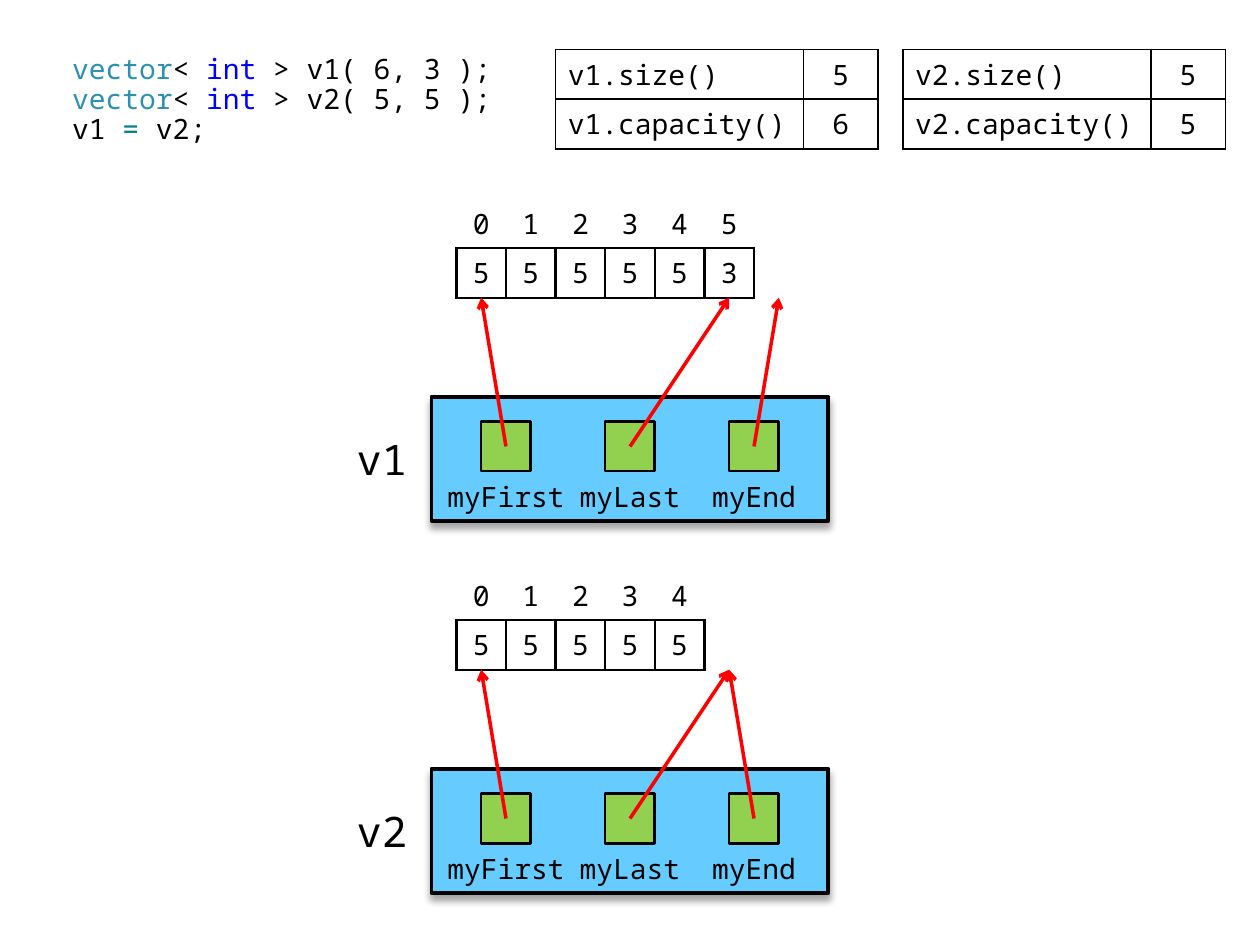
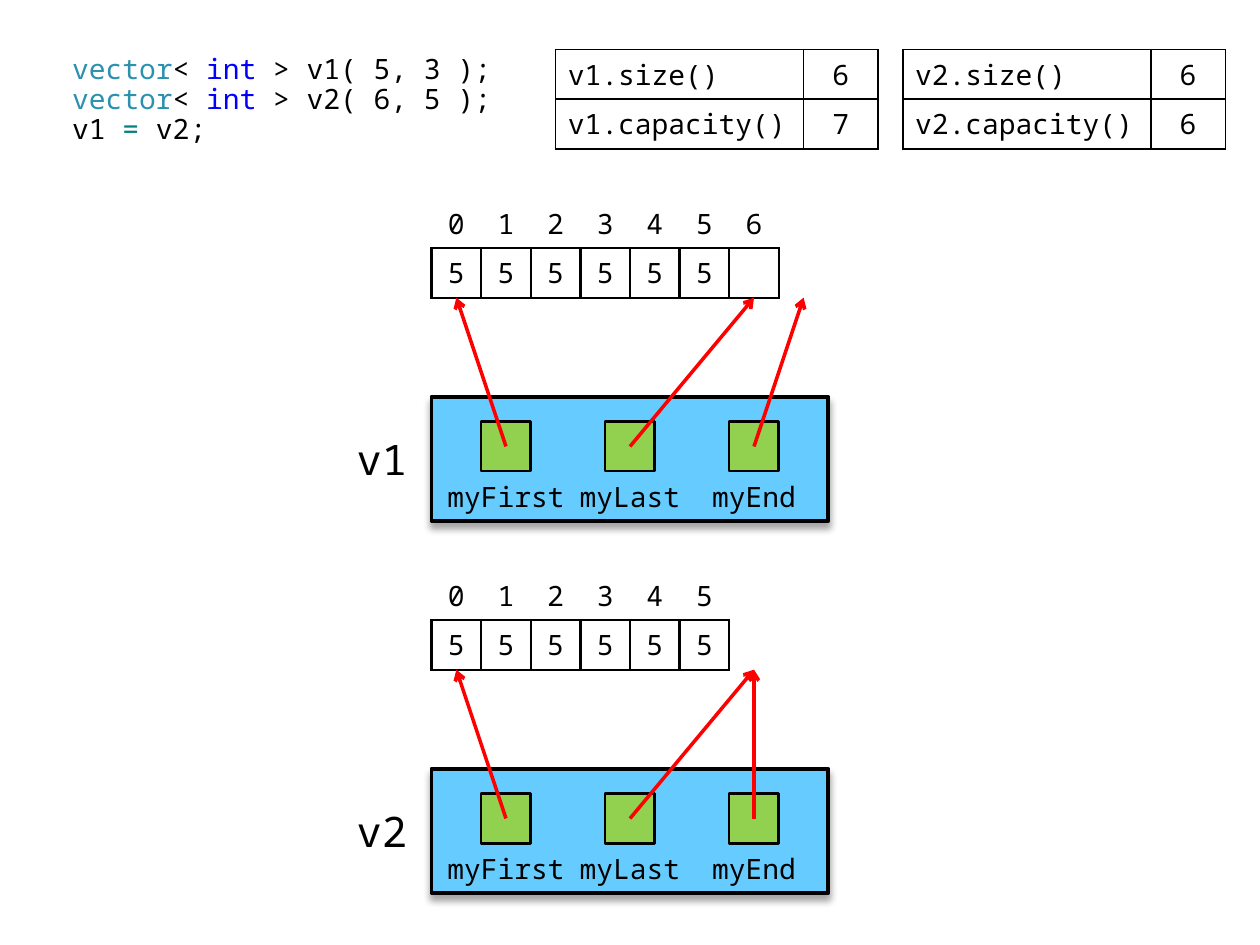
from dataclasses import dataclass
from typing import Any

from lxml.etree import SubElement
from pptx import Presentation
from pptx.dml.color import RGBColor
from pptx.enum.shapes import MSO_CONNECTOR, MSO_SHAPE
from pptx.enum.text import MSO_ANCHOR, MSO_AUTO_SIZE, PP_ALIGN
from pptx.oxml.ns import qn
from pptx.util import Emu, Pt

PX = 3600
FONT = "Noto Sans Mono"
COLORS = {
    "ink": "000000",
    "type": "2B91AF",
    "word": "0000FF",
    "sign": "008080",
    "box": "66CCFF",
    "field": "92D050",
    "arrow": "FF0000",
}
UNIT = 100           # side of an array cell and of a pointer field
BOX_X = 870
BOX_W = 800
FIELD_GAP = 250
ARRAY_Y = 400
STEP_Y = 750         # from one vector's drawing to the next
STAT_X = 1120
STAT_STEP = 700
FIELDS = ("myFirst", "myLast", "myEnd")
NO_STYLE = "{2D5ABB26-0587-4C30-8999-92F81FD0307C}"
NO_EDGE = {"margin_left": 0, "margin_right": 0, "margin_top": 0, "margin_bottom": 0}


@dataclass
class Vector:
    name: str
    args: str
    cells: list[str]
    size: int


@dataclass
class Scene:
    left: int
    vectors: list[Vector]


@dataclass
class Area:
    x: int
    y: int
    w: int
    h: int

    def emu(self) -> tuple[Emu, ...]:
        return tuple(px(n) for n in (self.x, self.y, self.w, self.h))


SCENES = [
    Scene(920, [Vector("v1", "6, 3", [*"555553"], 5),
                Vector("v2", "5, 5", [*"55555"], 5)]),
    Scene(870, [Vector("v1", "5, 3", [*"555555", ""], 6),
                Vector("v2", "6, 5", [*"555555"], 6)]),
]


def px(count: int) -> Emu:
    return Emu(count * PX)


def rgb(key: str) -> RGBColor:
    return RGBColor.from_string(COLORS[key])


def apply(item: Any, values: dict[str, Any]) -> None:
    for key, value in values.items():
        setattr(item, key, value)


def add_run(par: Any, text: str, size: int = 16, color: str = "ink") -> None:
    run = par.add_run()
    run.text = text
    apply(run.font, {"name": FONT, "size": Pt(size)})
    run.font.color.rgb = rgb(color)


def add_code(slide: Any, vectors: list[Vector]) -> None:
    body = slide.placeholders[1]
    left, top, width, height = Area(120, 53, 950, 300).emu()
    apply(body, {"left": left, "top": top, "width": width, "height": height})
    frame = body.text_frame
    apply(frame, {"vertical_anchor": MSO_ANCHOR.MIDDLE, "word_wrap": True,
                  "auto_size": MSO_AUTO_SIZE.NONE})
    lines = [[("vector", "type"), ("< ", "ink"), ("int", "word"),
              (f" > {vec.name}( {vec.args} );", "ink")] for vec in vectors]
    lines.append([("v1 ", "ink"), ("= ", "sign"), ("v2;", "ink")])
    for row, line in enumerate(lines):
        par = frame.add_paragraph() if row else frame.paragraphs[0]
        apply(par, {"space_before": Pt(0), "line_spacing": 0.9})
        for text, color in line:
            add_run(par, text, color=color)


def add_border(cell: Any, sides: str, width: float) -> None:
    props = cell._tc.get_or_add_tcPr()
    for side in sides:
        line = SubElement(props, qn(f"a:ln{side}"), w=str(Pt(width)))
        fill = SubElement(line, qn("a:solidFill"))
        SubElement(fill, qn("a:srgbClr"), val=COLORS["ink"])


def add_grid(slide: Any, x: int, y: int, widths: list[int], rows: list[list[str]],
             inset: int, line: float, sides: tuple[str, str],
             aligns: list[Any]) -> None:
    """Draw a table; sides names the borders of each row's cells."""
    area = Area(x, y, sum(widths), UNIT * len(rows))
    frame = slide.shapes.add_table(len(rows), len(widths), *area.emu())
    table = frame.table
    apply(table, {"first_row": False, "horz_banding": False})
    table._tbl.tblPr.find(qn("a:tableStyleId")).text = NO_STYLE
    for col, width in zip(table.columns, widths):
        col.width = px(width)
    for r, row in enumerate(rows):
        table.rows[r].height = px(UNIT)
        for c, text in enumerate(row):
            cell = table.cell(r, c)
            apply(cell, {"margin_left": px(inset), "margin_right": px(inset),
                         "margin_top": px(10), "margin_bottom": px(10),
                         "vertical_anchor": MSO_ANCHOR.MIDDLE})
            add_border(cell, sides[r], line)
            cell.fill.background()
            par = cell.text_frame.paragraphs[0]
            par.alignment = aligns[c]
            if text:
                add_run(par, text)


def add_stats(slide: Any, vec: Vector, x: int) -> None:
    rows = [[f"{vec.name}.size()", str(vec.size)],
            [f"{vec.name}.capacity()", str(len(vec.cells))]]
    add_grid(slide, x, 100, [500, 150], rows, 25, 1, ("LRTB", "LRTB"),
             [PP_ALIGN.LEFT, PP_ALIGN.CENTER])


def add_array(slide: Any, vec: Vector, x: int, y: int) -> None:
    count = len(vec.cells)
    rows = [[str(n) for n in range(count)], vec.cells]
    add_grid(slide, x, y, [UNIT] * count, rows, 15, 1.5, ("B", "LRTB"),
             [PP_ALIGN.CENTER] * count)


def add_block(slide: Any, kind: Any, area: Area, color: str, line: float) -> Any:
    shape = slide.shapes.add_shape(kind, *area.emu())
    shape.shadow.inherit = False
    shape.fill.solid()
    shape.fill.fore_color.rgb = rgb(color)
    shape.line.color.rgb = rgb("ink")
    shape.line.width = Pt(line)
    return shape


def add_shade(shape: Any) -> None:
    effects = shape._element.spPr.find(qn("a:effectLst"))
    shade = SubElement(effects, qn("a:outerShdw"), blurRad=str(Pt(4)),
                       dist=str(Pt(3)), dir="5400000", rotWithShape="0")
    color = SubElement(shade, qn("a:srgbClr"), val=COLORS["ink"])
    SubElement(color, qn("a:alpha"), val="35000")


def set_label(shape: Any, text: str, size: int) -> None:
    frame = shape.text_frame
    apply(frame, {"vertical_anchor": MSO_ANCHOR.MIDDLE, "word_wrap": True, **NO_EDGE})
    par = frame.paragraphs[0]
    par.alignment = PP_ALIGN.CENTER
    add_run(par, text, size)


def add_field(slide: Any, name: str, x: int, y: int) -> None:
    add_block(slide, MSO_SHAPE.RECTANGLE, Area(x, y, UNIT, UNIT), "field", 1.5)
    area = Area(x - UNIT, y + UNIT, 3 * UNIT, UNIT)
    label = slide.shapes.add_shape(MSO_SHAPE.FLOWCHART_PROCESS, *area.emu())
    label.shadow.inherit = False
    label.fill.background()
    label.line.fill.background()
    set_label(label, name, 16)


def add_arrow(slide: Any, start: tuple[int, int], end: tuple[int, int]) -> None:
    ends = [px(n) for n in (*start, *end)]
    arrow = slide.shapes.add_connector(MSO_CONNECTOR.STRAIGHT, *ends)
    arrow.line.color.rgb = rgb("arrow")
    arrow.line.width = Pt(2)
    SubElement(arrow.line._get_or_add_ln(), qn("a:tailEnd"), type="arrow")
    SubElement(arrow._element.spPr, qn("a:effectLst"))


def add_vector(slide: Any, vec: Vector, left: int, top: int) -> None:
    """Draw the array, the object below it and its three pointers."""
    add_array(slide, vec, left, top)
    box_y = top + 4 * UNIT
    field_y = box_y + UNIT // 2
    name = slide.shapes.add_textbox(*Area(BOX_X - 200, field_y, 200, 150).emu())
    set_label(name, vec.name, 24)
    box = add_block(slide, MSO_SHAPE.FLOWCHART_PROCESS,
                    Area(BOX_X, box_y, BOX_W, 250), "box", 2.25)
    add_shade(box)
    spots = [BOX_X + UNIT + n * FIELD_GAP for n in range(len(FIELDS))]
    for field, x in zip(FIELDS, spots):
        add_field(slide, field, x, field_y)
    half = UNIT // 2
    for x, index in zip(spots, (0, vec.size, len(vec.cells))):
        add_arrow(slide, (x + half, field_y + half),
                  (left + index * UNIT + half, top + 2 * UNIT))


def add_scene(deck: Any, scene: Scene) -> None:
    slide = deck.slides.add_slide(deck.slide_layouts[2])
    title = slide.shapes.title._element
    title.getparent().remove(title)
    add_code(slide, scene.vectors)
    for n, vec in enumerate(scene.vectors):
        add_stats(slide, vec, STAT_X + n * STAT_STEP)
        add_vector(slide, vec, scene.left, ARRAY_Y + n * STEP_Y)


def main() -> None:
    deck = Presentation()
    apply(deck, {"slide_width": px(2540), "slide_height": px(1905)})
    for scene in SCENES:
        add_scene(deck, scene)
    deck.save("out.pptx")


if __name__ == "__main__":
    main()
